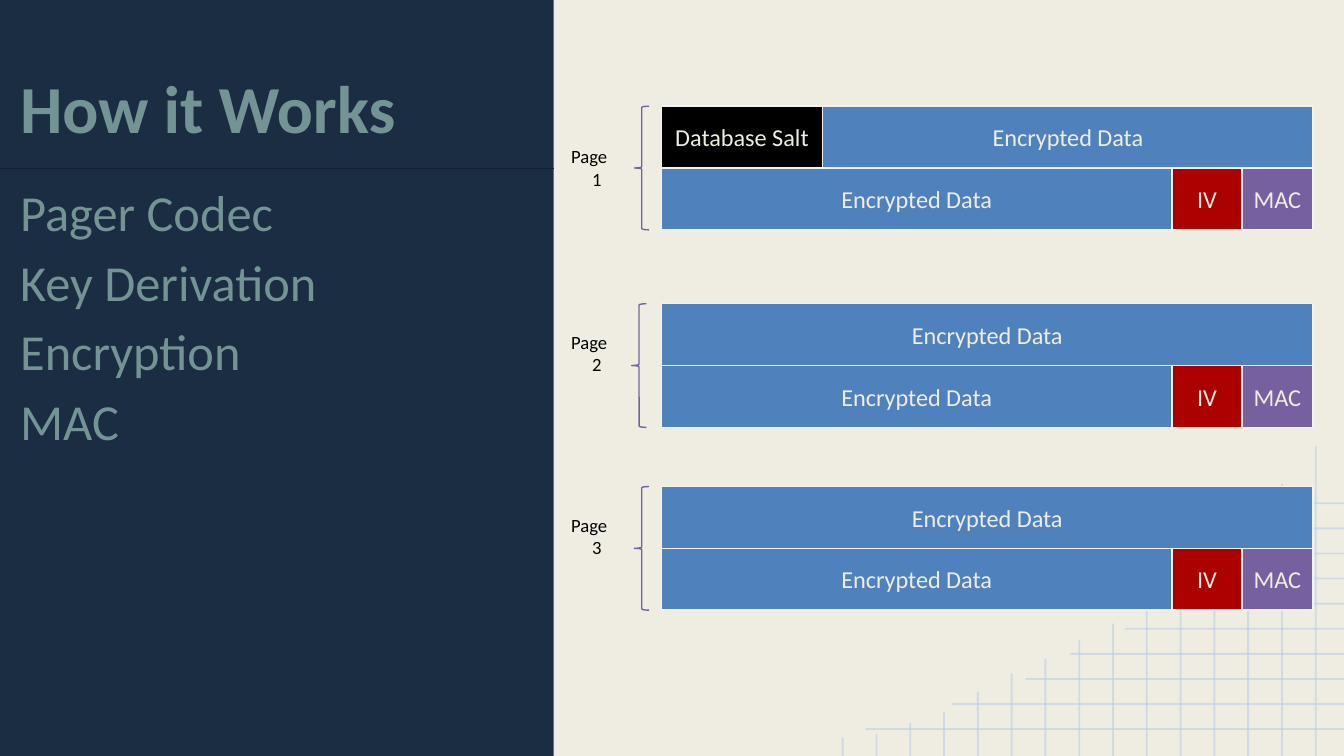
from dataclasses import dataclass

from lxml.etree import SubElement
from pptx import Presentation
from pptx.dml.color import RGBColor
from pptx.enum.shapes import MSO_CONNECTOR, MSO_SHAPE
from pptx.enum.text import MSO_ANCHOR as Anchor, MSO_AUTO_SIZE, PP_ALIGN as Align
from pptx.oxml.ns import qn
from pptx.util import Inches, Pt


@dataclass(frozen=True)
class Theme:
    font: str = "Calibri"
    background: str = "EFEDE2"
    panel: str = "1A2D43"
    panel_text: str = "739395"
    divider: str = "14202F"
    grid: str = "B7CCE4"
    outline: str = "F2F2F2"
    black: str = "000000"
    data: str = "4F81BD"
    vector: str = "AB0101"
    mac: str = "7760A0"
    title_size: int = 36
    topic_size: int = 27
    block_size: int = 13
    label_size: int = 10


THEME = Theme()
WIDTH = 10
HEIGHT = WIDTH * 9 / 16
ROW_HEIGHT = 0.46
TOPICS = ["Pager Codec", "Key Derivation", "Encryption", "MAC"]
SALT_ROW = [("Database Salt", 1.2, THEME.black), ("Encrypted Data", 3.65, THEME.data)]
DATA_ROW = [("Encrypted Data", 4.85, THEME.data)]
TAIL_ROW = [
    ("Encrypted Data", 3.8, THEME.data),
    ("IV", 0.52, THEME.vector),
    ("MAC", 0.53, THEME.mac),
]
PAGES = [
    ("1", 0.79, SALT_ROW, 0.54, 0.25),
    ("2", 2.26, DATA_ROW, 0.52, 0.16),
    ("3", 3.62, DATA_ROW, 0.54, 0.16),
]
GRID_TOPS = [3.32, 3.6, 3.97, 4.17, 4.33, 4.47, 4.64, 4.76,
             4.9, 5.01, 5.15, 5.3, 5.38, 5.46, 5.49]
GRID_LEFTS = [6.44, 7.08, 7.63, 7.96, 8.37, 8.67, 8.92, 9.19, 9.42, 9.71]


def color(value):
    return RGBColor.from_string(value)


def set_attributes(target, values):
    for name, value in values.items():
        setattr(target, name, value)


def fill_shape(shape, value):
    shape.fill.solid()
    shape.fill.fore_color.rgb = color(value)


def write_text(shape, lines, size, text_color, inset, anchor=Anchor.TOP,
               alignments=(Align.LEFT,), bold=False, spacing=None, gap=0):
    frame = shape.text_frame
    set_attributes(frame, {
        "word_wrap": True, "auto_size": MSO_AUTO_SIZE.NONE, "vertical_anchor": anchor,
        "margin_left": Inches(inset[0]), "margin_right": Inches(inset[0]),
        "margin_top": Inches(inset[1]), "margin_bottom": Inches(inset[1]),
    })
    for index, line in enumerate(lines):
        paragraph = frame.paragraphs[0] if index == 0 else frame.add_paragraph()
        paragraph.text = line
        set_attributes(paragraph, {
            "alignment": alignments[index % len(alignments)],
            "line_spacing": spacing,
            "space_before": Pt(gap if index else 0),
        })
        set_attributes(paragraph.font, {"name": THEME.font, "size": Pt(size), "bold": bold})
        paragraph.font.color.rgb = color(text_color)


def add_line(slide, start, end, line_color, width, opacity=None):
    connector = slide.shapes.add_connector(
        MSO_CONNECTOR.STRAIGHT, *(Inches(value) for value in (*start, *end)))
    connector.line.color.rgb = color(line_color)
    connector.line.width = Pt(width)
    properties = connector._element.spPr
    SubElement(properties, qn("a:effectLst"))
    if opacity:
        tint = properties.find(".//" + qn("a:srgbClr"))
        SubElement(tint, qn("a:alpha")).set("val", str(opacity * 1000))


def add_outlined_shape(slide, kind, box, line_color):
    shape = slide.shapes.add_shape(kind, *(Inches(value) for value in box))
    shape.shadow.inherit = False
    shape.line.color.rgb = color(line_color)
    shape.line.width = Pt(0.75)
    return shape


def add_corner_grid(slide, right, bottom):
    for index, top in enumerate(GRID_TOPS):
        x = right - 0.21 - index * 3.52 / 14
        add_line(slide, (x, top), (x, bottom), THEME.grid, 1, 54)
    for index, left in enumerate(GRID_LEFTS):
        y = bottom - 0.2 - index * 1.68 / 9
        add_line(slide, (right, y), (left, y), THEME.grid, 1, 54)


def add_topic_panel(slide, left, top, width, height):
    title_height = 1.25
    title = slide.shapes.title
    set_attributes(title, {
        "left": Inches(left), "top": Inches(top),
        "width": Inches(width), "height": Inches(title_height),
    })
    topics = slide.shapes.add_textbox(
        Inches(left), Inches(top + title_height),
        Inches(width), Inches(height - title_height))
    for shape in (title, topics):
        fill_shape(shape, THEME.panel)
    inset = (0.15, 0.15)
    write_text(title, ["How it Works"], THEME.title_size, THEME.panel_text, inset,
               anchor=Anchor.BOTTOM, bold=True, spacing=0.9)
    write_text(topics, TOPICS, THEME.topic_size, THEME.panel_text, inset,
               spacing=0.9, gap=8)
    seam = top + title_height
    add_line(slide, (left, seam), (left + width, seam), THEME.divider, 0.25)


def add_block_row(slide, left, top, blocks):
    for text, width, block_color in blocks:
        block = add_outlined_shape(
            slide, MSO_SHAPE.RECTANGLE, (left, top, width, ROW_HEIGHT), THEME.outline)
        fill_shape(block, block_color)
        write_text(block, [text], THEME.block_size, THEME.background, (0.07, 0.04),
                   anchor=Anchor.MIDDLE, alignments=(Align.CENTER,))
        left += width


def add_page(slide, left, top, number, first_row, brace_offset, label_offset):
    rows = [first_row, TAIL_ROW]
    for index, blocks in enumerate(rows):
        add_block_row(slide, left + 0.74, top + index * ROW_HEIGHT, blocks)
    brace = add_outlined_shape(
        slide, MSO_SHAPE.LEFT_BRACE,
        (left + brace_offset, top, 0.11, len(rows) * ROW_HEIGHT), THEME.mac)
    brace.fill.background()
    label = slide.shapes.add_textbox(
        Inches(left), Inches(top + label_offset), Inches(0.52), Inches(0.53))
    write_text(label, ["Page", number], THEME.label_size, THEME.black, (0.07, 0.04),
               alignments=(Align.LEFT, Align.CENTER))


def main():
    presentation = Presentation()
    presentation.slide_width = Inches(WIDTH)
    presentation.slide_height = Inches(HEIGHT)
    slide = presentation.slides.add_slide(presentation.slide_layouts[5])
    fill_shape(slide.background, THEME.background)
    add_corner_grid(slide, WIDTH, HEIGHT)
    add_topic_panel(slide, 0, 0, 4.12, HEIGHT)
    for number, top, first_row, brace_offset, label_offset in PAGES:
        add_page(slide, 4.18, top, number, first_row, brace_offset, label_offset)
    presentation.save("out.pptx")


if __name__ == "__main__":
    main()
